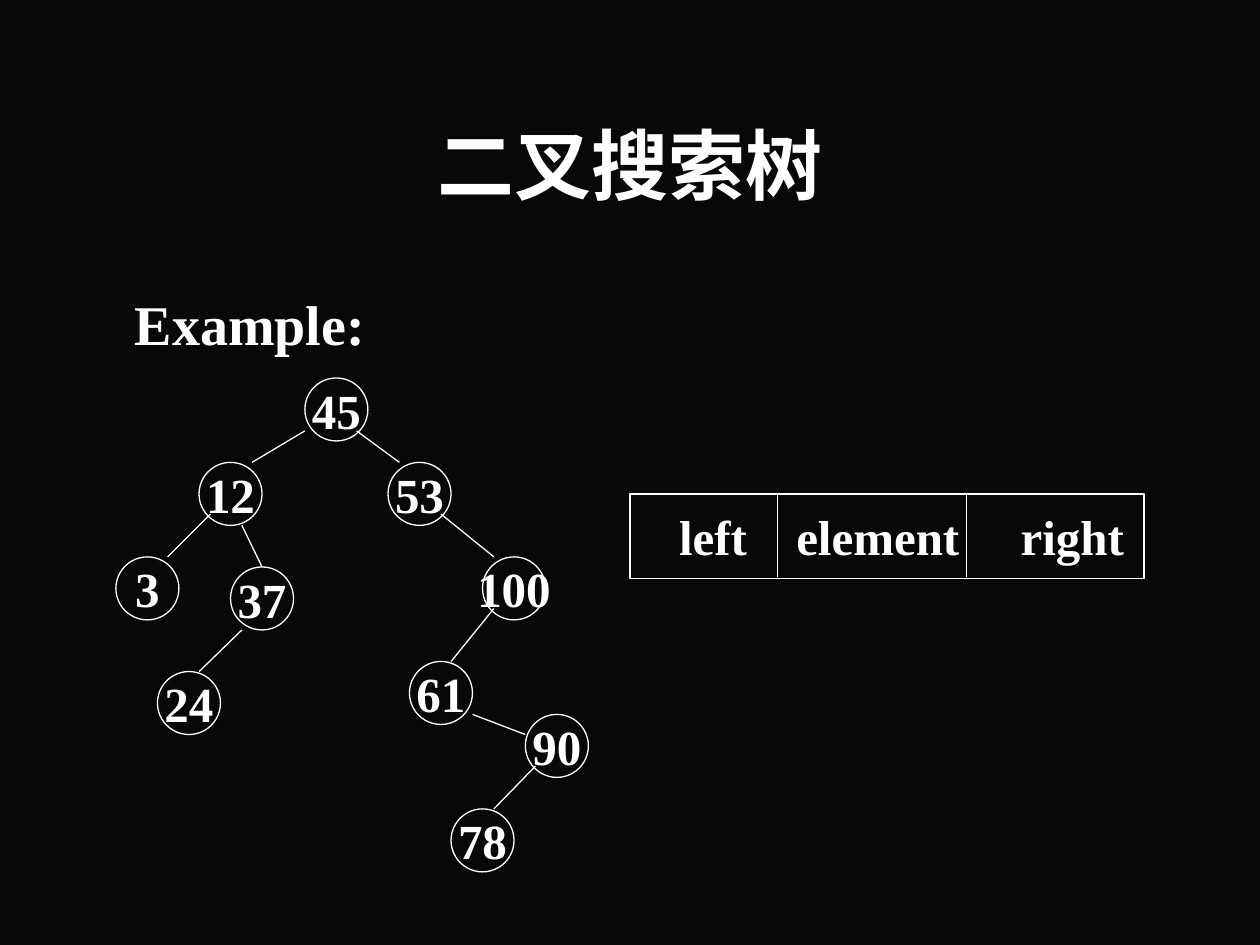
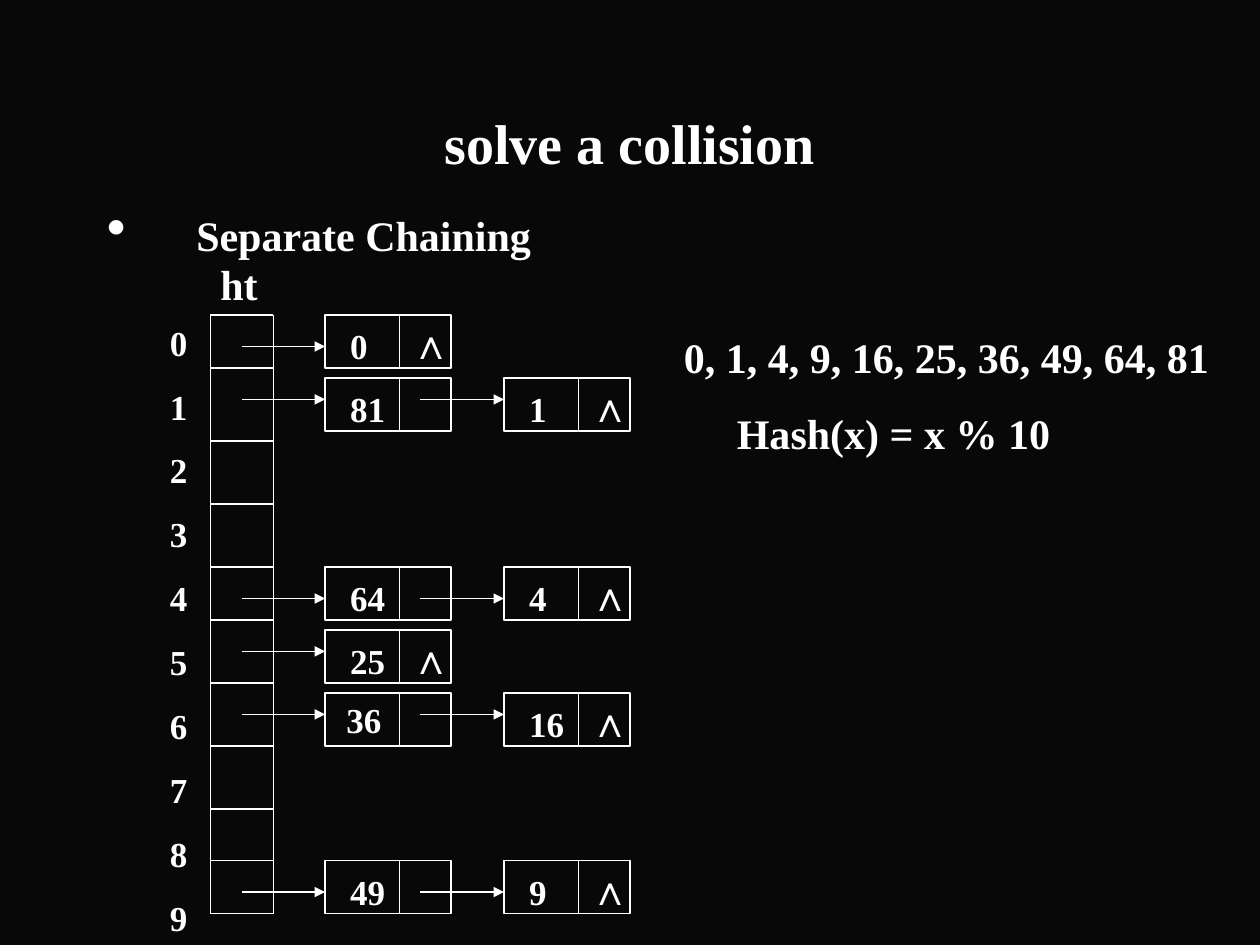
"""Build two slides: a binary search tree and a hash table with separate chaining."""
import pptx
import pptx.dml.color
import pptx.enum.shapes
import pptx.enum.text
import pptx.oxml.ns
import pptx.util
from lxml import etree

Inches = pptx.util.Inches
Pt = pptx.util.Pt
color = pptx.dml.color.RGBColor.from_string
qn = pptx.oxml.ns.qn
SHAPES = pptx.enum.shapes.MSO_SHAPE
ALIGN = pptx.enum.text.PP_ALIGN
ANCHOR = pptx.enum.text.MSO_ANCHOR

BACKGROUND = "080808"
INK = "FFFFFF"
FONT = "Times New Roman"
LINE_WIDTH = 0.75


def add_text(slide, text, left, top, width, height, outline=None, size=28,
             align=ALIGN.LEFT, anchor=ANCHOR.TOP, inset=(0.1, 0.05, 0.1, 0.05),
             wrap=True, gap=0, tabs=(), indents=(), bullet=False):
    """Add a text box, or an outlined shape, with one paragraph per line of text."""
    place = [Inches(length) for length in (left, top, width, height)]
    if outline is None:
        box = slide.shapes.add_textbox(*place)
    else:
        box = slide.shapes.add_shape(outline, *place)
        box.shadow.inherit = False
        box.fill.background()
        box.line.color.rgb = color(INK)
        box.line.width = Pt(LINE_WIDTH)
    frame = box.text_frame
    frame.word_wrap = wrap
    frame.vertical_anchor = anchor
    frame.margin_left, frame.margin_top, frame.margin_right, frame.margin_bottom = map(Inches, inset)
    for index, line in enumerate(text.split("\n")):
        para = frame.paragraphs[0] if index == 0 else frame.add_paragraph()
        para.alignment = align
        para.space_before = Pt(gap if index else 0)
        properties = para._p.get_or_add_pPr()
        if indents:
            properties.set("marL", str(Inches(indents[index])))
        if bullet:
            properties.set("indent", str(-Inches(indents[index])))
            bullet_color = etree.SubElement(properties, qn("a:buClr"))
            etree.SubElement(bullet_color, qn("a:srgbClr"), val=INK)
            etree.SubElement(properties, qn("a:buSzPct"), val="133000")
            etree.SubElement(properties, qn("a:buChar"), char="•")
        if tabs:
            tab_list = etree.SubElement(properties, qn("a:tabLst"))
            for tab in tabs:
                etree.SubElement(tab_list, qn("a:tab"), pos=str(Inches(tab)), algn="l")
        span = para.add_run()
        span.text = line
        span.font.name = FONT
        span.font.size = Pt(size)
        span.font.bold = True
        span.font.color.rgb = color(INK)
    return box


def add_line(slide, start_x, start_y, end_x, end_y, arrow=False):
    """Add a thin straight line, with an arrowhead at its end if asked."""
    line = slide.shapes.add_connector(
        pptx.enum.shapes.MSO_CONNECTOR.STRAIGHT,
        Inches(start_x), Inches(start_y), Inches(end_x), Inches(end_y))
    line.line.color.rgb = color(INK)
    line.line.width = Pt(LINE_WIDTH)
    if arrow:
        etree.SubElement(line.line._get_or_add_ln(), qn("a:tailEnd"), type="triangle")
    etree.SubElement(line._element.spPr, qn("a:effectLst"))


deck = pptx.Presentation()
deck.slide_width = Inches(10)
deck.slide_height = Inches(7.5)

slides = []
for title, title_height, title_size in [("二叉搜索树", 1.25, 44), ("solve a collision", 0.92, 32)]:
    slide = deck.slides.add_slide(deck.slide_layouts[6])
    slide.background.fill.solid()
    slide.background.fill.fore_color.rgb = color(BACKGROUND)
    add_text(slide, title, 0.75, 0.67, 8.5, title_height, size=title_size,
             align=ALIGN.CENTER, anchor=ANCHOR.MIDDLE)
    slides.append(slide)
tree_slide, hash_slide = slides

add_text(tree_slide, "Example:", 0.75, 2.25, 8.5, 4.92, size=32, inset=(0.32, 0.05, 0.1, 0.05))

tree_nodes = [
    ("45", 2.42, 3), ("12", 1.58, 3.67), ("53", 3.08, 3.67), ("90", 4.17, 5.67),
    ("78", 3.58, 6.42), ("100", 3.83, 4.42), ("61", 3.25, 5.25),
    ("24", 1.25, 5.33), ("37", 1.83, 4.5), ("3", 0.92, 4.42),
]
for key, left, top in tree_nodes:
    add_text(tree_slide, key, left, top, 0.5, 0.5, outline=SHAPES.OVAL,
             align=ALIGN.CENTER, anchor=ANCHOR.MIDDLE, wrap=False)

branches = [
    (2.42, 3.42, 2, 3.67), (1.67, 4.08, 1.33, 4.42), (1.92, 4.17, 2.08, 4.5),
    (1.92, 5, 1.58, 5.33), (2.83, 3.42, 3.17, 3.67), (3.5, 4.08, 3.92, 4.42),
    (3.92, 4.83, 3.58, 5.25), (3.75, 5.67, 4.17, 5.83), (4.25, 6.08, 3.92, 6.42),
]
for branch in branches:
    add_line(tree_slide, *branch)

add_text(tree_slide, "left\telement\tright", 5, 3.92, 4.08, 0.67, outline=SHAPES.RECTANGLE,
         anchor=ANCHOR.MIDDLE, inset=(0.39, 0.05, 0, 0.05), tabs=(0.93, 2.71))
for divider in (6.17, 7.67):
    add_line(tree_slide, divider, 3.92, divider, 4.58)

add_text(hash_slide, "Separate Chaining", 0.75, 1.61, 8.5, 5.64, size=24,
         indents=(0.71,), bullet=True)
add_text(hash_slide, "ht", 1.65, 2, 0.5, 0.5, size=24, wrap=False)
add_text(hash_slide, "\n".join(str(bucket) for bucket in range(10)), 1.25, 2.5, 0.33, 5,
         size=20, gap=12.5, wrap=False)

table_left, table_right = 1.67, 2.17
bucket_edges = [2.5, 2.92, 3.5, 4, 4.5, 4.92, 5.42, 5.92, 6.42, 6.83, 7.25]
for edge in bucket_edges:
    add_line(hash_slide, table_left, edge, table_right, edge)
for side in (table_left, table_right):
    add_line(hash_slide, side, bucket_edges[0], side, bucket_edges[-1])

node_lefts = (2.58, 4)
arrow_starts = (1.92, 3.33)
node_height = 0.42
chains = [
    (2.5, 2.75, ["0"]), (3, 3.17, ["81", "1"]), (4.5, 4.75, ["64", "4"]),
    (5, 5.17, ["25"]), (5.5, 5.67, ["36", "16"]), (6.83, 7.08, ["49", "9"]),
]
for top, arrow_y, values in chains:
    for value, left, arrow_start in zip(values, node_lefts, arrow_starts):
        is_last = value == values[-1]
        inset = (0.2, 0.02 if is_last else 0.07, 0, 0)
        if value == "36":
            inset = (0.17, 0, 0, 0)
        node = add_text(hash_slide, value + "\t" if is_last else value, left, top, 1, node_height,
                        outline=SHAPES.RECTANGLE, size=20, anchor=ANCHOR.MIDDLE,
                        inset=inset, wrap=False, tabs=(0.48,))
        if is_last:
            mark = node.text_frame.paragraphs[0].add_run()
            mark.text = "∧"
            mark.font.name = "Arial"
            mark.font.size = Pt(24)
            mark.font.bold = True
            mark.font.color.rgb = color(INK)
        divider = left + 0.59
        add_line(hash_slide, divider, top, divider, top + node_height)
        add_line(hash_slide, arrow_start, arrow_y, left, arrow_y, arrow=True)

add_text(hash_slide, "0, 1, 4, 9, 16, 25, 36, 49, 64, 81\nHash(x) = x % 10", 5.33, 2.58, 4.5, 1.11,
         size=24, gap=15, indents=(0, 0.42))

deck.save("out.pptx")
